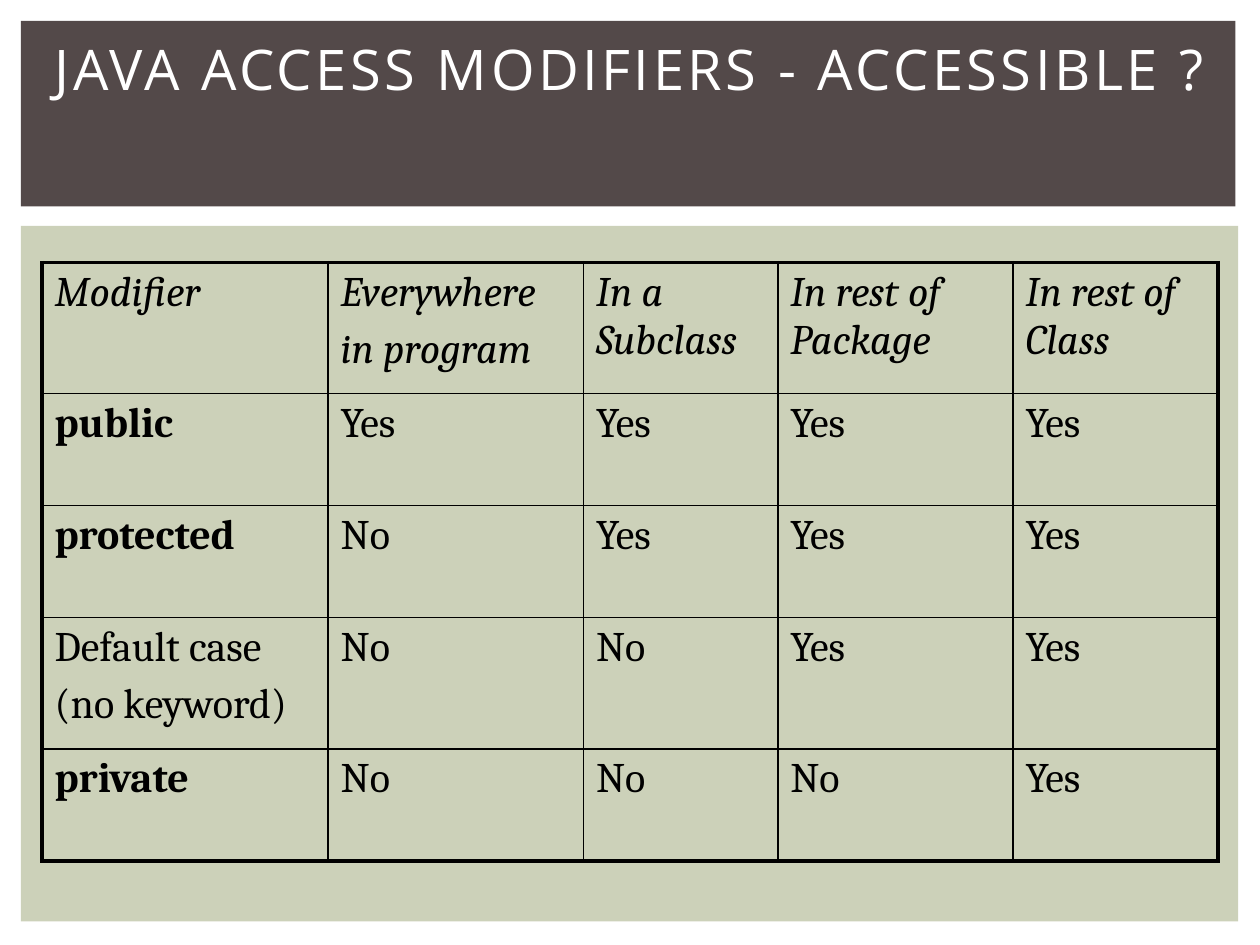
import pptx
import pptx.util
import pptx.dml.color
import pptx.enum.shapes
import pptx.enum.text
import pptx.oxml
import pptx.oxml.ns
from dataclasses import dataclass

Pt = pptx.util.Pt
RGB = pptx.dml.color.RGBColor.from_string


@dataclass(frozen=True)
class Theme:
    banner: str = "534949"
    panel: str = "CCD1B9"
    title_ink: str = "FFFFFF"
    ink: str = "000000"
    title_font: str = "Open Sans"
    table_font: str = "Cambria"
    title_size: float = 32
    table_size: float = 24
    paragraph_gap: float = 5
    inner_line: float = 1
    outer_line: float = 2.25


class SlideBuilder:
    def __init__(self, slide, theme):
        self.slide = slide
        self.theme = theme

    def add_run(self, paragraph, text, font, size, color, bold=False, italic=False):
        run = paragraph.add_run()
        run.text = text
        run.font.name, run.font.size = font, Pt(size)
        run.font.bold, run.font.italic = bold, italic
        run.font.color.rgb = RGB(color)
        return run

    def block(self, left, top, width, height, color):
        rect = self.slide.shapes.add_shape(
            pptx.enum.shapes.MSO_SHAPE.RECTANGLE, Pt(left), Pt(top), Pt(width), Pt(height))
        rect.shadow.inherit = False
        rect.fill.solid()
        rect.fill.fore_color.rgb = RGB(color)
        rect.line.fill.background()

    def title(self, text, left, top, width, height, spacing):
        heading = self.slide.shapes.title
        heading.left, heading.top = Pt(left), Pt(top)
        heading.width, heading.height = Pt(width), Pt(height)
        frame = heading.text_frame
        frame.word_wrap = True
        frame.auto_size = pptx.enum.text.MSO_AUTO_SIZE.NONE
        frame.vertical_anchor = pptx.enum.text.MSO_ANCHOR.MIDDLE
        paragraph = frame.paragraphs[0]
        paragraph.alignment = pptx.enum.text.PP_ALIGN.CENTER
        theme = self.theme
        run = self.add_run(paragraph, text, theme.title_font, theme.title_size, theme.title_ink)
        run.font._element.set("spc", str(spacing * 100))
        # Bring the title in front of the banner
        self.slide.shapes._spTree.append(heading._element)

    def border(self, cell, side, width):
        line = pptx.oxml.parse_xml(
            f'<a:{side} {pptx.oxml.ns.nsdecls("a")} w="{Pt(width)}">'
            f'<a:solidFill><a:srgbClr val="{self.theme.ink}"/></a:solidFill></a:{side}>')
        cell._tc.get_or_add_tcPr().append(line)

    def cell(self, cell, lines, bold, italic, outer_sides):
        theme = self.theme
        for index, text in enumerate(lines):
            frame = cell.text_frame
            paragraph = frame.add_paragraph() if index else frame.paragraphs[0]
            paragraph.space_before = Pt(theme.paragraph_gap)
            self.add_run(paragraph, text, theme.table_font, theme.table_size,
                         theme.ink, bold, italic)
        for side, is_outer in outer_sides.items():
            self.border(cell, side, theme.outer_line if is_outer else theme.inner_line)
        cell.fill.background()

    def table(self, rows, left, top, widths, heights, keywords):
        grid = self.slide.shapes.add_table(
            len(rows), len(widths), Pt(left), Pt(top), Pt(sum(widths)), Pt(sum(heights))).table
        grid.first_row = grid.horz_banding = False
        for column, width in zip(grid.columns, widths):
            column.width = Pt(width)
        for row, height in zip(grid.rows, heights):
            row.height = Pt(height)
        for r, values in enumerate(rows):
            for c, text in enumerate(values):
                outer_sides = {"lnL": c == 0, "lnR": c == len(widths) - 1,
                               "lnT": r == 0, "lnB": r == len(rows) - 1}
                self.cell(grid.cell(r, c), text.split("\n"), text in keywords, r == 0, outer_sides)


# Presentation
deck = pptx.Presentation()
deck.slide_width, deck.slide_height = Pt(720), Pt(540)
theme = Theme()
page = SlideBuilder(deck.slides.add_slide(deck.slide_layouts[5]), theme)

# Background panel and title banner
page.block(12, 129, 695.5, 397.5, theme.panel)
page.block(12, 12, 694, 106, theme.banner)
page.title("JAVA ACCESS MODIFIERS - ACCESSIBLE ?", 18, 0, 684, 78, spacing=2)

# Access table
access = [
    ["Modifier", "Everywhere\nin program", "In a Subclass", "In rest of Package",
     "In rest of Class"],
    ["public", "Yes", "Yes", "Yes", "Yes"],
    ["protected", "No", "Yes", "Yes", "Yes"],
    ["Default case\n(no keyword)", "No", "No", "Yes", "Yes"],
    ["private", "No", "No", "No", "Yes"],
]
page.table(access, 24, 150, widths=[163.5, 146, 111, 134.5, 117],
           heights=[75, 64, 64, 75, 64], keywords={"public", "protected", "private"})

deck.save("out.pptx")
